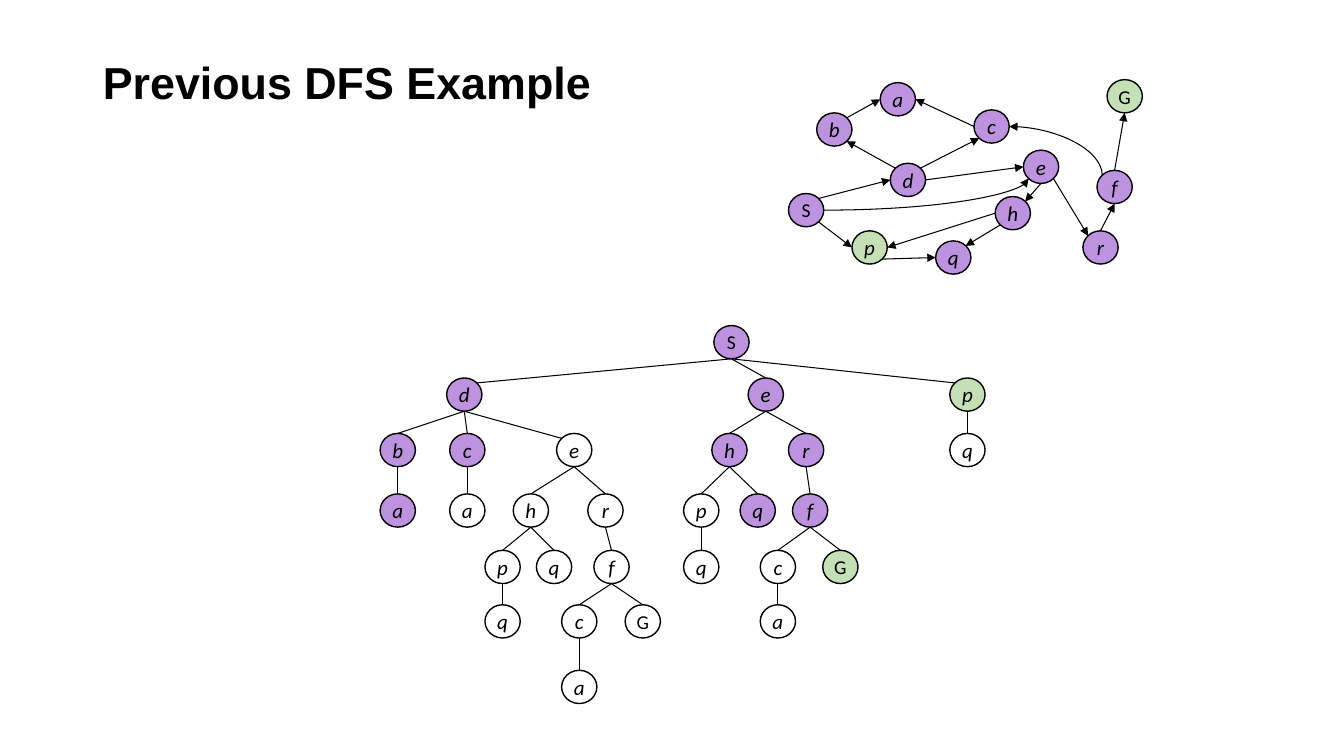
from lxml import etree
from pptx import Presentation
from pptx.dml.color import RGBColor
from pptx.enum.shapes import MSO_CONNECTOR as Link, MSO_SHAPE as Form
from pptx.enum.text import MSO_ANCHOR as Anchor, PP_ALIGN as Align
from pptx.oxml.ns import qn
from pptx.util import Inches, Pt

BLACK = "000000"
SEEN = "BD92DE"
GOAL = "C5E0B4"
OPEN = None
WIDE, HIGH = 0.35, 0.33

# Points on a node's rim, as fractions of its width and height
RIM = {
    "n": (0.5, 0), "s": (0.5, 1), "w": (0, 0.5), "e": (1, 0.5),
    "nw": (0.15, 0.15), "ne": (0.85, 0.15), "sw": (0.15, 0.85), "se": (0.85, 0.85),
}

# Graph nodes: offset within the graph
NODES = {
    "S": (0, 1.13), "G": (3.16, 0), "d": (1.01, 0.83), "b": (0.28, 0.33),
    "p": (0.63, 1.5), "q": (1.46, 1.6), "c": (1.84, 0.3), "e": (2.33, 0.7),
    "h": (2.05, 1.16), "a": (0.91, 0.03), "f": (3.06, 0.9), "r": (2.92, 1.5),
}

# Graph edges: start node and rim point, end node and rim point
EDGES = [
    "S se p w", "p se q w", "h sw q ne", "h w p e", "e s h ne", "e se r nw",
    "r n f s", "f n G s", "S ne d w", "d nw b se", "b ne a w", "c w a e",
    "d ne c sw", "d e e w",
]
CURVES = ["f nw c e", "S e e sw"]

# Tree nodes: letter, offset from the left, fill, children
LEVELS = [0, 0.52, 1.07, 1.67, 2.23, 2.77, 3.42]
TREE = ("S", 3.31, SEEN, [
    ("d", 0.66, SEEN, [
        ("b", 0, SEEN, [("a", 0, SEEN, [])]),
        ("c", 0.69, SEEN, [("a", 0.69, OPEN, [])]),
        ("e", 1.75, OPEN, [
            ("h", 1.32, OPEN, [
                ("p", 1.04, OPEN, [("q", 1.04, OPEN, [])]),
                ("q", 1.55, OPEN, []),
            ]),
            ("r", 2.06, OPEN, [
                ("f", 2.12, OPEN, [
                    ("c", 1.8, OPEN, [("a", 1.8, OPEN, [])]),
                    ("G", 2.43, OPEN, []),
                ]),
            ]),
        ]),
    ]),
    ("e", 3.65, SEEN, [
        ("h", 3.29, SEEN, [
            ("p", 3.01, OPEN, [("q", 3.01, OPEN, [])]),
            ("q", 3.57, SEEN, []),
        ]),
        ("r", 4.05, SEEN, [
            ("f", 4.09, SEEN, [
                ("c", 3.77, OPEN, [("a", 3.77, OPEN, [])]),
                ("G", 4.39, GOAL, []),
            ]),
        ]),
    ]),
    ("p", 5.65, GOAL, [("q", 5.65, OPEN, [])]),
])


def color(code):
    return RGBColor.from_string(code)


def write(frame, text, size, face="Calibri", bold=False, slant=False,
          align=Align.CENTER, space=1.0, wrap=False):
    frame.text = text
    frame.word_wrap = wrap
    frame.vertical_anchor = Anchor.MIDDLE
    para = frame.paragraphs[0]
    para.alignment = align
    para.line_spacing = space
    font = para.runs[0].font
    font.name, font.size, font.bold, font.italic = face, Pt(size), bold, slant
    font.color.rgb = color(BLACK)


def draw_node(shapes, spot, name, fill):
    x, y = spot
    node = shapes.add_shape(Form.FLOWCHART_CONNECTOR, Inches(x), Inches(y),
                            Inches(WIDE), Inches(HIGH))
    node.shadow.inherit = False
    if fill:
        node.fill.solid()
        node.fill.fore_color.rgb = color(fill)
    else:
        node.fill.background()
    node.line.color.rgb = color(BLACK)
    node.line.width = Pt(1)
    small = name.islower()
    write(node.text_frame, name, 15 if small else 14, slant=small)


def rim(spot, side):
    across, down = RIM[side]
    return spot[0] + across * WIDE, spot[1] + down * HIGH


def draw_line(shapes, start, end, kind=Link.STRAIGHT, arrow=False):
    ends = [Inches(v) for v in (*start, *end)]
    line = shapes.add_connector(kind, *ends)
    line.line.color.rgb = color(BLACK)
    line.line.width = Pt(0.75)
    prop = line._element.spPr
    if arrow:
        etree.SubElement(prop.find(qn("a:ln")), qn("a:tailEnd"), type="triangle")
    etree.SubElement(prop, qn("a:effectLst"))
    return line


def draw_curve(shapes, start, end, rise):
    """Quarter curve with an arrow; with rise it leaves its start vertically."""
    if rise:
        mid_x, mid_y = (start[0] + end[0]) / 2, (start[1] + end[1]) / 2
        start, end = [(mid_x + y - mid_y, mid_y - x + mid_x) for x, y in (start, end)]
    line = draw_line(shapes, start, end, Link.CURVE, arrow=True)
    prop = line._element.spPr
    prop.find(qn("a:prstGeom")).set("prst", "curvedConnector2")
    if rise:
        prop.find(qn("a:xfrm")).set("rot", str(90 * 60000))


def draw_title(slide, left, top, width, height):
    title = slide.shapes.title
    title.left, title.top = Inches(left), Inches(top)
    title.width, title.height = Inches(width), Inches(height)
    write(title.text_frame, "Previous DFS Example", 32, face="Arial", bold=True,
          align=Align.LEFT, space=0.9, wrap=True)


def draw_graph(slide, left, top):
    shapes = slide.shapes.add_group_shape().shapes
    spots = {name: (left + x, top + y) for name, (x, y) in NODES.items()}
    for name, spot in spots.items():
        draw_node(shapes, spot, name, GOAL if name in "Gp" else SEEN)
    for edge in EDGES + CURVES:
        tail, out, head, into = edge.split()
        start, end = rim(spots[tail], out), rim(spots[head], into)
        if edge in CURVES:
            draw_curve(shapes, start, end, rise=out == "nw")
        else:
            draw_line(shapes, start, end, arrow=True)


def walk(tree, left, top, level=0):
    """Yield each node's spot, name, fill and the spots of its children."""
    name, x, fill, kids = tree
    below = [(left + kid[1], top + LEVELS[level + 1]) for kid in kids]
    yield (left + x, top + LEVELS[level]), name, fill, below
    for kid in kids:
        yield from walk(kid, left, top, level + 1)


def draw_tree(slide, left, top):
    shapes = slide.shapes.add_group_shape().shapes
    nodes = list(walk(TREE, left, top))
    for spot, _, _, below in nodes:
        for kid in below:
            gap = kid[0] - spot[0]
            side = "n" if abs(gap) < 1 else "nw" if gap > 0 else "ne"
            draw_line(shapes, rim(spot, "s"), rim(kid, side))
    for spot, name, fill, _ in nodes:
        draw_node(shapes, spot, name, fill)


def main():
    deck = Presentation()
    deck.slide_width, deck.slide_height = Inches(13.33), Inches(7.5)
    slide = deck.slides.add_slide(deck.slide_layouts[5])
    draw_title(slide, 0.92, 0.4, 11.5, 0.89)
    draw_graph(slide, 7.82, 0.79)
    draw_tree(slide, 3.77, 3.23)
    deck.save("out.pptx")


if __name__ == "__main__":
    main()
